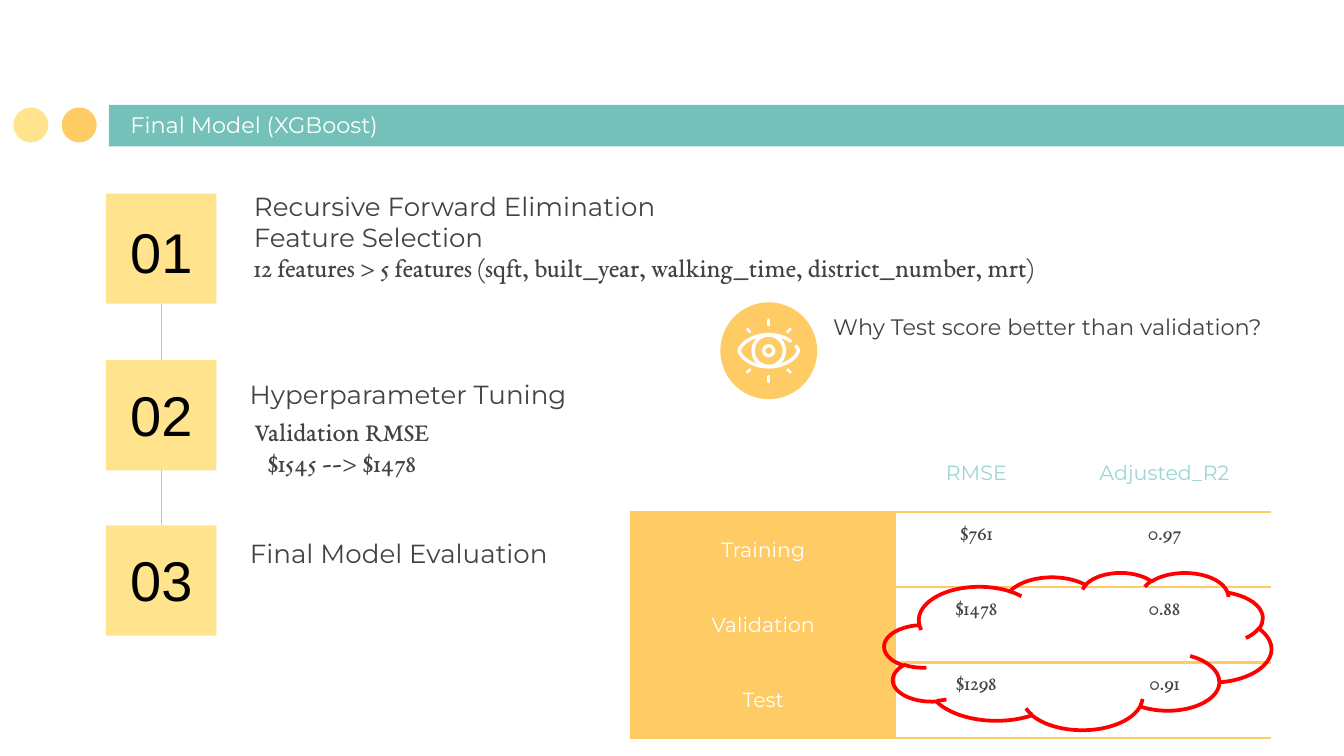
"""Build the slide on the final XGBoost model, its steps and its scores."""
import math
from itertools import product
from lxml import etree
from pptx import Presentation
from pptx import util as u
from pptx.dml.color import RGBColor
from pptx.enum import shapes, text
from pptx.oxml import ns

TEAL = RGBColor(0x74, 0xC1, 0xB9)
AQUA = RGBColor(0x9A, 0xD7, 0xD2)
GOLD = RGBColor(0xFF, 0xCB, 0x64)
SAND = RGBColor(0xFF, 0xE4, 0x8D)
GREY = RGBColor(0x43, 0x43, 0x43)
RED = RGBColor(0xFF, 0, 0)
BLACK = RGBColor(0, 0, 0)
WHITE = RGBColor(0xFF, 0xFF, 0xFF)
SANS, SERIF = "Montserrat", "EB Garamond"
LEFT, MID = text.PP_ALIGN.LEFT, text.PP_ALIGN.CENTER
TOP, CORE, BASE = text.MSO_ANCHOR.TOP, text.MSO_ANCHOR.MIDDLE, text.MSO_ANCHOR.BOTTOM
KIND = shapes.MSO_SHAPE
BOX, DISC, RING = KIND.RECTANGLE, KIND.OVAL, KIND.DONUT


def write(host, frame, lines, size, face, color, align=LEFT, anchor=TOP, pad=0.1):
    host.margin_left = host.margin_right = u.Inches(pad)
    host.margin_top = host.margin_bottom = u.Inches(pad)
    host.vertical_anchor = anchor
    frame.word_wrap = True
    for i, line in enumerate(lines):
        para = frame.add_paragraph() if i else frame.paragraphs[0]
        para.alignment = align
        run = para.add_run()
        run.text = line
        run.font.size = u.Pt(size)
        run.font.name = face
        run.font.color.rgb = color


def link(x1, y1, x2, y2, color, width):
    ends = [u.Inches(v) for v in (x1, y1, x2, y2)]
    line = slide.shapes.add_connector(shapes.MSO_CONNECTOR.STRAIGHT, *ends)
    line.line.color.rgb = color
    line.line.width = u.Pt(width)
    etree.SubElement(line.element.spPr, ns.qn("a:effectLst"))
    return line


deck = Presentation()
deck.slide_width, deck.slide_height = u.Inches(10), u.Inches(10 * 9 / 16)
slide = deck.slides.add_slide(deck.slide_layouts[5])

for kind, x, y, w, h, color, ratio in [
    (BOX, 0.81, 0.78, 9.5, 0.31, TEAL, None),
    (DISC, 0.46, 0.8, 0.26, 0.26, GOLD, None),
    (DISC, 0.1, 0.8, 0.26, 0.26, SAND, None),
    (BOX, 0.79, 1.44, 0.82, 0.82, SAND, None),
    (BOX, 0.79, 2.68, 0.82, 0.82, SAND, None),
    (BOX, 0.79, 3.91, 0.82, 0.82, SAND, None),
    (DISC, 5.36, 2.25, 0.72, 0.72, GOLD, None),
    (RING, 5.59, 2.48, 0.26, 0.26, WHITE, 0.1),
    (RING, 5.67, 2.56, 0.1, 0.1, WHITE, 0.25),
]:
    shape = slide.shapes.add_shape(kind, *[u.Inches(v) for v in (x, y, w, h)])
    shape.shadow.inherit = False
    shape.fill.solid()
    shape.fill.fore_color.rgb = color
    shape.line.fill.background()
    if ratio:
        shape.adjustments[0] = ratio

title = slide.shapes.title
title.left, title.top = u.Inches(0.87), u.Inches(0.79)
title.width, title.height = u.Inches(5.48), u.Inches(0.34)
title.text_frame.auto_size = text.MSO_AUTO_SIZE.NONE
write(title.text_frame, title.text_frame, ["Final Model (XGBoost)"], 12, SANS, WHITE,
      anchor=BASE)
shape.element.addnext(title.element)

link(1.2, 2.26, 1.2, 2.68, AQUA, 0.75)
link(1.2, 3.5, 1.2, 3.91, AQUA, 0.75)

cx, cy = 5.72, 2.61
lid = []
for deg in range(-25, 321, 5):
    rise = math.sin(math.radians(deg))
    lid.append((u.Inches(cx + 0.22 * math.cos(math.radians(deg))),
                u.Inches(cy + 0.12 * rise * abs(rise) ** 0.3)))
pen = slide.shapes.build_freeform(*lid[0])
pen.add_line_segments(lid[1:], close=False)
eye = pen.convert_to_shape()
eye.shadow.inherit = False
eye.fill.background()
eye.line.color.rgb = WHITE
eye.line.width = u.Pt(1.8)

rays = [(0, side * 0.19, 0, side * 0.23) for side in (-1, 1)]
rays += [(a * 0.14, b * 0.14, a * 0.16, b * 0.16) for a, b in product((-1, 1), repeat=2)]
for x1, y1, x2, y2 in rays:
    ray = link(cx + x1, cy + y1, cx + x2, cy + y2, WHITE, 1.5)
    ray.element.spPr.find(ns.qn("a:ln")).set("cap", "rnd")

for x, y, w, h, lines, size, face, color, align, anchor, pad in [
    (1.79, 1.77, 7.75, 0.89,
     ["12 features > 5 features (sqft, built_year, walking_time, district_number, mrt)"],
     14, SERIF, GREY, LEFT, TOP, 0.1),
    (1.79, 1.56, 3.42, 0.42, ["Recursive Forward Elimination Feature Selection"],
     14, SANS, GREY, LEFT, BASE, 0.1),
    (1.76, 2.73, 3.24, 0.42, ["Hyperparameter Tuning"], 14, SANS, GREY, LEFT, BASE, 0.1),
    (1.33, 2.99, 2.43, 0.86, ["Validation RMSE", "$1545 --> $1478"],
     14, SERIF, GREY, MID, TOP, 0.1),
    (1.76, 3.91, 2.62, 0.42, ["Final Model Evaluation"], 14, SANS, GREY, LEFT, BASE, 0.1),
    (0.79, 1.66, 0.82, 0.42, ["01"], 30, "Arial", BLACK, MID, CORE, 0.1),
    (0.79, 2.87, 0.82, 0.42, ["02"], 30, "Arial", BLACK, MID, CORE, 0.1),
    (0.79, 4.1, 0.82, 0.42, ["03"], 30, "Arial", BLACK, MID, CORE, 0.1),
    (6.2, 2.33, 3.27, 0.81, ["Why Test score better than validation?"],
     12, SANS, GREY, LEFT, TOP, 0),
]:
    frame = slide.shapes.add_textbox(*[u.Inches(v) for v in (x, y, w, h)]).text_frame
    write(frame, frame, lines, size, face, color, align, anchor, pad)

rows = [("", "RMSE", "Adjusted_R2"), ("Training", "$761", "0.97"),
        ("Validation", "$1478", "0.88"), ("Test", "$1298", "0.91")]
spot = [u.Inches(v) for v in (4.7, 3.23, 4.76, 2.27)]
table = slide.shapes.add_table(4, 3, *spot).table
table.first_row = table.horz_banding = False
for col, w in zip(table.columns, (1.96, 1.21, 1.59)):
    col.width = u.Inches(w)
for row, h in zip(table.rows, (0.58, 0.56, 0.56, 0.56)):
    row.height = u.Inches(h)
for r, c in product(range(4), range(3)):
    cell = table.cell(r, c)
    props = cell._tc.get_or_add_tcPr()
    drawn = "B" if r == 0 else ("LRTB", "LTB", "TB")[c]
    for side in "LRTB":
        edge = etree.SubElement(props, ns.qn("a:ln" + side), w=str(u.Pt(1.5)))
        if side in drawn:
            fill = etree.SubElement(edge, ns.qn("a:solidFill"))
            etree.SubElement(fill, ns.qn("a:srgbClr"), val=str(GOLD))
        else:
            etree.SubElement(edge, ns.qn("a:noFill"))
    if r and c == 0:
        cell.fill.solid()
        cell.fill.fore_color.rgb = GOLD
    else:
        cell.fill.background()
    if rows[r][c]:
        face, color = (SANS, AQUA) if r == 0 else (SANS, WHITE) if c == 0 else (SERIF, GREY)
        write(cell, cell.text_frame, [rows[r][c]], 11, face, color, MID,
              TOP if r and c else CORE)

cloud = slide.shapes.add_shape(KIND.CLOUD, *[u.Inches(v) for v in (6.58, 4.26, 2.88, 1.17)])
cloud.shadow.inherit = False
cloud.fill.background()
cloud.line.color.rgb = RED
cloud.line.width = u.Pt(2)

deck.save("out.pptx")
